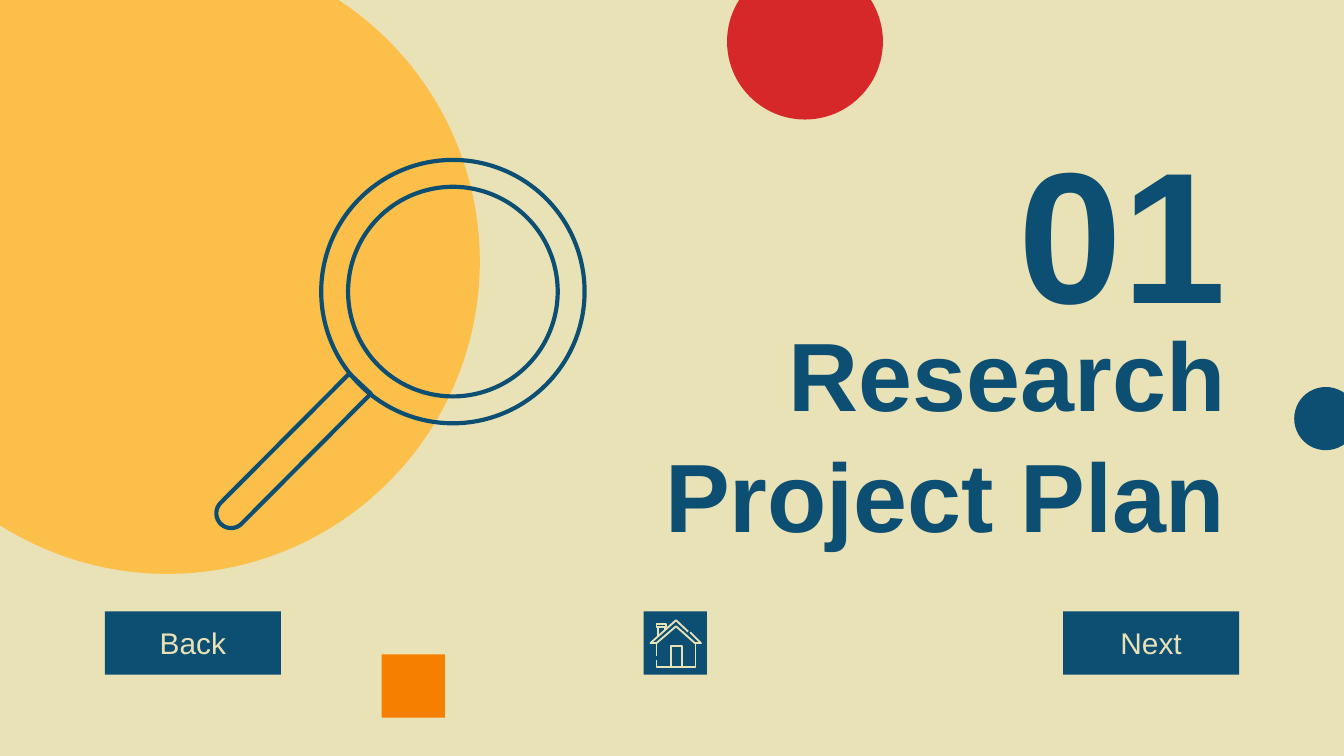
import math

import pptx
import pptx.dml.color
import pptx.enum.shapes
import pptx.enum.text
import pptx.util

Inches, Pt = pptx.util.Inches, pptx.util.Pt
SHAPE = pptx.enum.shapes.MSO_SHAPE
ANCHOR = pptx.enum.text.MSO_ANCHOR
ALIGN = pptx.enum.text.PP_ALIGN

COLORS = {"sand": "EAE2B7", "navy": "0C4F72", "yellow": "FCBF49",
          "orange": "F77F00", "red": "D62828"}
FONT = "Arial"
WIDTH, HEIGHT = 10, 5.625

# Text, size, top, height, anchor
HEADINGS = [
    ("Research Project Plan", 52, 2.79, 0.83, ANCHOR.MIDDLE),
    ("01", 100, 0.7, 1.55, ANCHOR.TOP),
]
HEADING_LEFT, HEADING_WIDTH = 4.08, 5.14

# Shape, left, top, side, colour
DECORATIONS = [
    (SHAPE.OVAL, -1.08, -0.38, 4.65, "yellow"),
    (SHAPE.RECTANGLE, 2.84, 4.87, 0.47, "orange"),
    (SHAPE.OVAL, 5.41, -0.27, 1.16, "red"),
    (SHAPE.OVAL, 9.63, 2.88, 0.47, "navy"),
]

# Text, left, width
BUTTONS = [("Back", 0.78, 1.31), ("", 4.79, 0.47), ("Next", 7.91, 1.31)]
BUTTON_TOP, BUTTON_HEIGHT = 4.55, 0.47

LENS_CENTER, LENS_RADII = (3.37, 2.17), (0.98, 0.78)
HANDLE_TOP = [(2.6, 2.78), (2.76, 2.93)]
HANDLE_END, HANDLE_RADIUS = (1.72, 3.82), 0.11

# Strokes of the home icon, in hundredths of an inch from the button's corner
HOME_STROKES = [
    [(33, 15), (24, 6.5), (5, 23.5), (9.5, 23.5), (24, 11),
     (38, 23.5), (42.5, 23.5), (34.5, 15.5)],
    [(9.5, 23.5), (9.5, 33.5)],
    [(9.5, 36), (9.5, 41.5), (38.5, 41.5), (38.5, 23.5)],
    [(20, 41.5), (20, 26), (28.5, 26), (28.5, 41.5)],
    [(10.5, 18.5), (10.5, 11.5)],
    [(9.5, 9.5), (16.5, 9.5), (16.5, 11.5), (9.5, 11.5), (9.5, 9.5)],
    [(15.5, 11.5), (15.5, 13.5)],
]


def rgb(name):
    return pptx.dml.color.RGBColor.from_string(COLORS[name])


def style(sp, fill=None, line=None, width=2.25):
    sp.shadow.inherit = False
    if fill:
        sp.fill.solid()
        sp.fill.fore_color.rgb = rgb(fill)
    else:
        sp.fill.background()
    if line:
        sp.line.color.rgb = rgb(line)
        sp.line.width = Pt(width)
    else:
        sp.line.fill.background()


def add_shape(slide, kind, left, top, width, height, **look):
    sp = slide.shapes.add_shape(kind, Inches(left), Inches(top), Inches(width), Inches(height))
    style(sp, **look)
    return sp


def add_strokes(slide, strokes, close=False, **look):
    """Draw lists of points, in inches, as one unfilled outline."""
    strokes = [[(Inches(x), Inches(y)) for x, y in points] for points in strokes]
    builder = slide.shapes.build_freeform(*strokes[0][0], scale=1.0)
    for i, points in enumerate(strokes):
        if i:
            builder.move_to(*points[0])
        builder.add_line_segments(points[1:], close=close)
    style(builder.convert_to_shape(), **look)


def write(sp, text, size, color, align, anchor, bold=False):
    tf = sp.text_frame
    tf.text = text
    tf.word_wrap = True
    tf.auto_size = pptx.enum.text.MSO_AUTO_SIZE.NONE
    tf.vertical_anchor = anchor
    tf.margin_left = tf.margin_right = tf.margin_top = tf.margin_bottom = Inches(0.1)
    p = tf.paragraphs[0]
    p.alignment = align
    p.space_before = Pt(0)
    font = p.runs[0].font
    font.name, font.size, font.bold = FONT, Pt(size), bold
    font.color.rgb = rgb(color)
    return p


def add_magnifier(slide):
    cx, cy = LENS_CENTER
    for r in LENS_RADII:
        add_shape(slide, SHAPE.OVAL, cx - r, cy - r, 2 * r, 2 * r, line="navy")
    ex, ey = HANDLE_END
    angles = [math.radians(a) for a in range(45, 226, 10)]
    cap = [(ex + HANDLE_RADIUS * math.cos(a), ey + HANDLE_RADIUS * math.sin(a)) for a in angles]
    add_strokes(slide, [HANDLE_TOP + cap], close=True, line="navy")


def main():
    prs = pptx.Presentation()
    prs.slide_width, prs.slide_height = Inches(WIDTH), Inches(HEIGHT)
    slide = prs.slides.add_slide(prs.slide_layouts[0])
    slide.background.fill.solid()
    slide.background.fill.fore_color.rgb = rgb("sand")

    for sp, (text, size, top, height, anchor) in zip(slide.placeholders, HEADINGS):
        sp.left, sp.top = Inches(HEADING_LEFT), Inches(top)
        sp.width, sp.height = Inches(HEADING_WIDTH), Inches(height)
        p = write(sp, text, size, "navy", ALIGN.RIGHT, anchor, bold=True)
        p.line_spacing = 1.04

    for kind, left, top, side, color in DECORATIONS:
        add_shape(slide, kind, left, top, side, side, fill=color)
    add_magnifier(slide)

    for text, left, width in BUTTONS:
        sp = add_shape(slide, SHAPE.RECTANGLE, left, BUTTON_TOP, width, BUTTON_HEIGHT, fill="navy")
        if text:
            write(sp, text, 16, "sand", ALIGN.CENTER, ANCHOR.MIDDLE)
        else:
            icon = [[(left + x / 100, BUTTON_TOP + y / 100) for x, y in points]
                    for points in HOME_STROKES]
            add_strokes(slide, icon, line="sand", width=1)

    prs.save("out.pptx")


if __name__ == "__main__":
    main()
